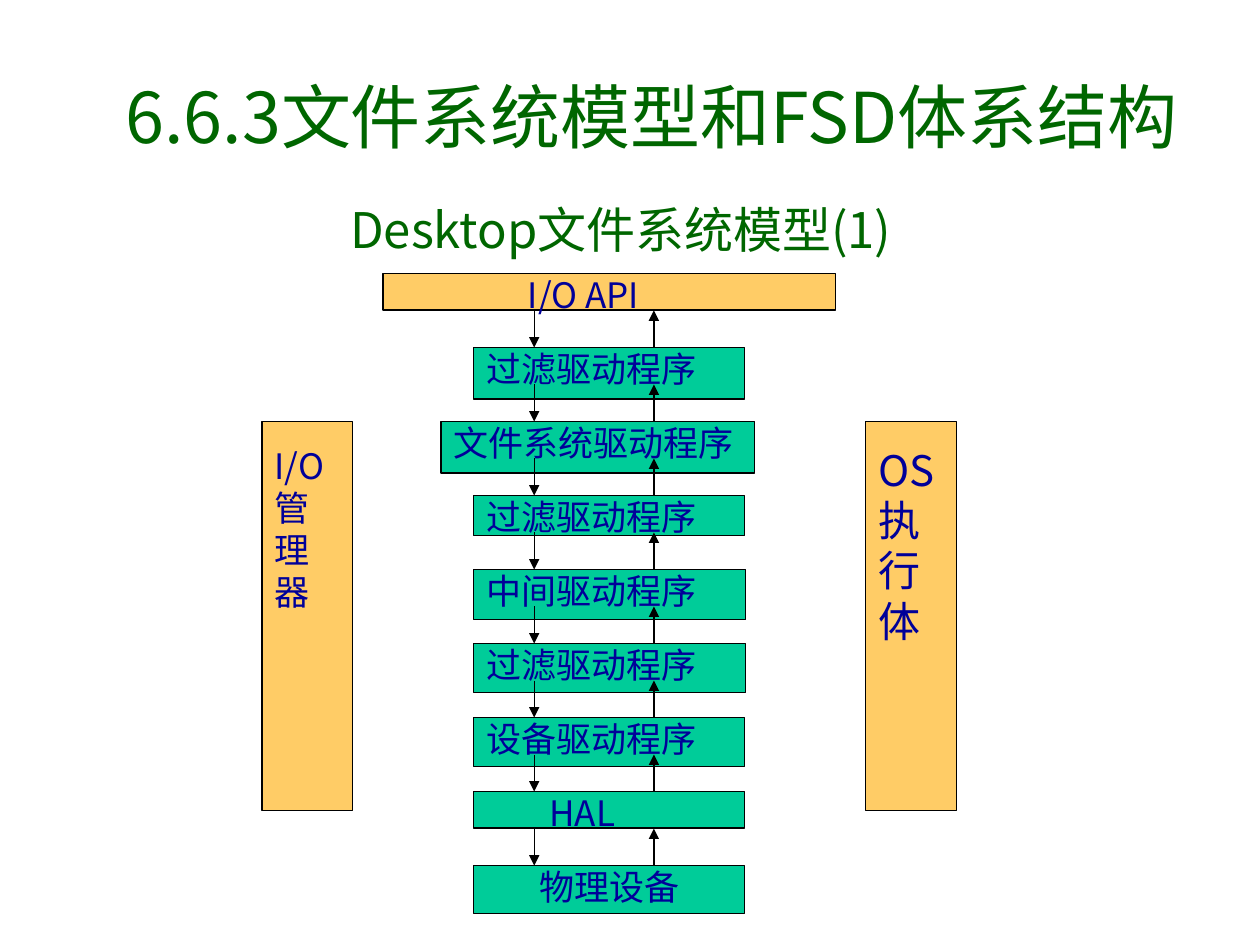
from lxml import etree
from pptx import Presentation
from pptx.dml.color import RGBColor
from pptx.enum.shapes import MSO_CONNECTOR, MSO_SHAPE
from pptx.enum.text import MSO_ANCHOR, PP_ALIGN
from pptx.oxml.ns import qn
from pptx.util import Inches, Pt

RECTANGLE, STRAIGHT = MSO_SHAPE.RECTANGLE, MSO_CONNECTOR.STRAIGHT
TOP, MIDDLE = MSO_ANCHOR.TOP, MSO_ANCHOR.MIDDLE
LEFT, CENTER = PP_ALIGN.LEFT, PP_ALIGN.CENTER

COLORS = {"heading": "006600", "label": "000099", "line": "000000",
          "system": "FFCC66", "driver": "00CC99"}
FONT = "Noto Sans CJK JP"
WIDTH, HEIGHT = 10, 7.5
ROW = 0.5875
LAYERS = [
    ("I/O API", "system", 0, 3.59, 0.29, 1.05, LEFT),
    ("过滤驱动程序", "driver", 0.72, 2.15, 0.41, 0, LEFT),
    ("文件系统驱动程序", "driver", 0.46, 2.49, 0.41, 0, LEFT),
    ("过滤驱动程序", "driver", 0.72, 2.15, 0.32, 0, LEFT),
    ("中间驱动程序", "driver", 0.72, 2.16, 0.4, 0, LEFT),
    ("过滤驱动程序", "driver", 0.72, 2.16, 0.39, 0, LEFT),
    ("设备驱动程序", "driver", 0.72, 2.15, 0.39, 0, LEFT),
    ("HAL", "driver", 0.72, 2.15, 0.29, 0.5, LEFT),
    ("物理设备", "driver", 0.72, 2.15, 0.38, 0, CENTER),
]


def color(name):
    return RGBColor.from_string(COLORS[name])


def write(shape, lines, size, ink, align=LEFT, anchor=TOP, indent=0, top=0):
    frame = shape.text_frame
    frame.word_wrap = True
    frame.vertical_anchor = anchor
    frame.margin_left = Inches(0.1 + indent)
    frame.margin_right = Inches(0.1)
    frame.margin_top, frame.margin_bottom = Inches(top), 0
    frame.text = "\n".join(lines)
    for para in frame.paragraphs:
        para.alignment = align
        para.font.size, para.font.name = Pt(size), FONT
        para.font.color.rgb = color(ink)
        for span in para.runs:
            etree.SubElement(span._r.get_or_add_rPr(), qn("a:ea"), typeface=FONT)


def add_block(page, box, fill, lines, size=20, **layout):
    shape = page.shapes.add_shape(RECTANGLE, *map(Inches, box))
    shape.shadow.inherit = False
    shape.fill.solid()
    shape.fill.fore_color.rgb = color(fill)
    shape.line.color.rgb = color("line")
    shape.line.width = Pt(0.75)
    write(shape, lines, size, "label", **layout)


def add_arrow(page, x, start, end):
    arrow = page.shapes.add_connector(
        STRAIGHT, Inches(x), Inches(start), Inches(x), Inches(end))
    arrow.line.color.rgb = color("line")
    arrow.line.width = Pt(0.75)
    etree.SubElement(arrow.line._get_or_add_ln(), qn("a:tailEnd"), type="triangle")
    etree.SubElement(arrow._element.spPr, qn("a:effectLst"))


def add_heading(page, box, text, size, **layout):
    heading = page.shapes.add_textbox(*map(Inches, box))
    write(heading, [text], size, "heading", **layout)


def add_stack(page, left, top):
    for row, (label, fill, offset, width, height, indent, align) in enumerate(LAYERS):
        box = (left + offset, top + row * ROW, width, height)
        add_block(page, box, fill, [label], indent=indent, align=align)
    for row in range(len(LAYERS) - 1):
        upper, lower = top + (row + 0.5) * ROW, top + (row + 1) * ROW
        add_arrow(page, left + 1.2, upper, lower)
        add_arrow(page, left + 2.15, lower, upper)


def add_side(page, box, lines, size):
    add_block(page, box, "system", lines, size, top=0.18)


def main():
    deck = Presentation()
    deck.slide_width, deck.slide_height = Inches(WIDTH), Inches(HEIGHT)
    page = deck.slides.add_slide(deck.slide_layouts[6])
    add_heading(page, (0.75, 0.29, 8.84, 1.25), "6.6.3文件系统模型和FSD体系结构", 40,
                align=CENTER, anchor=MIDDLE)
    add_heading(page, (2.58, 1.58, 5.42, 0.58), "Desktop文件系统模型(1)", 28, indent=0.1)
    add_stack(page, 3.04, 2.17)
    side_top, side_height = 2.17 + 2 * ROW, 3.09
    add_side(page, (2.08, side_top, 0.72, side_height), ["I/O", "管理器"], 20)
    add_side(page, (6.87, side_top, 0.72, side_height), ["OS", "执行体"], 24)
    deck.save("out.pptx")


if __name__ == "__main__":
    main()
